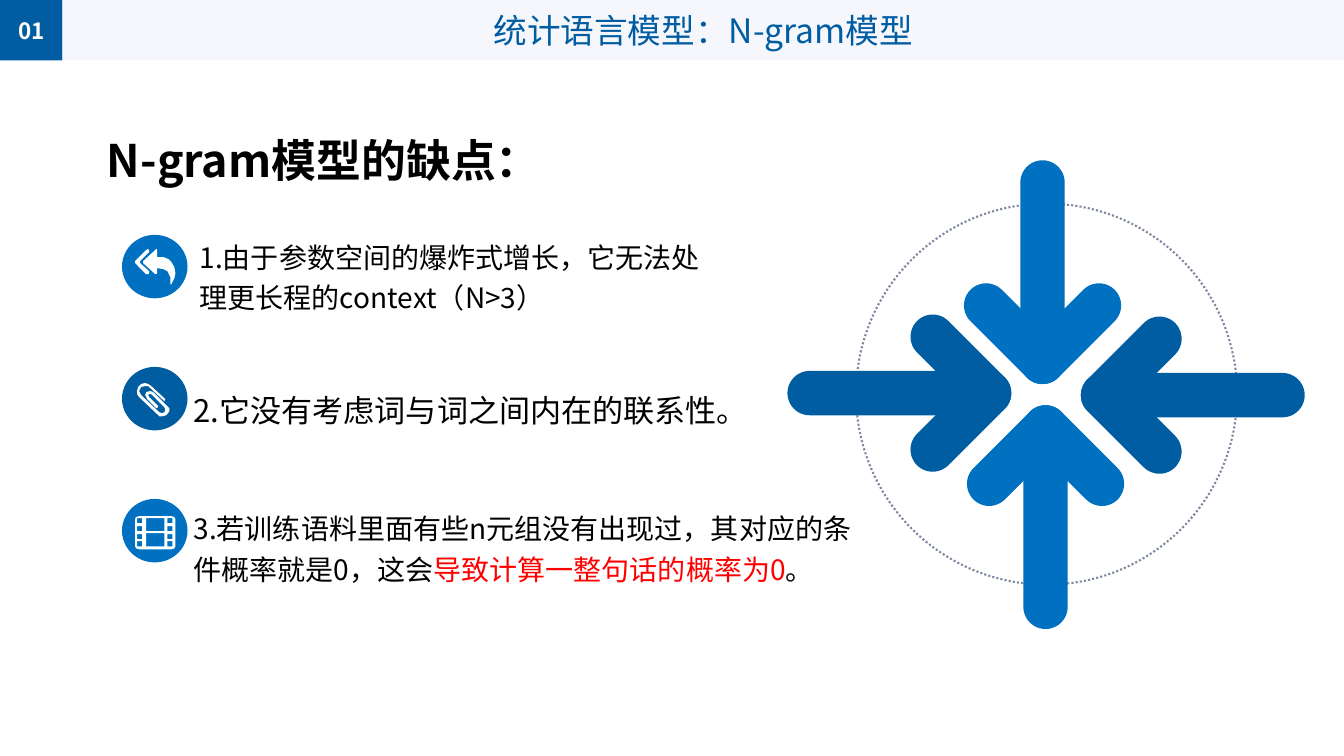
from dataclasses import dataclass
from math import cos, radians, sin
from typing import NamedTuple

from lxml.etree import SubElement
from pptx import Presentation
from pptx.dml.color import RGBColor
from pptx.enum.dml import MSO_LINE_DASH_STYLE as Dash
from pptx.enum.shapes import MSO_SHAPE as Preset
from pptx.enum.text import MSO_ANCHOR as Anchor, PP_ALIGN as Align
from pptx.oxml.ns import qn
from pptx.shapes.autoshape import Shape
from pptx.util import Pt

PX = 9144  # EMU per px, 100 px to the inch
FONT = "Noto Sans CJK SC"
DARK, BRIGHT, PALE = "005DA2", "0070C0", "F6F7FC"
WHITE, BLACK, RED, GREY = "FFFFFF", "000000", "FF0000", "7E889F"

Contour = list[tuple[int, int]]


class Span(NamedTuple):
    text: str
    color: str = BLACK


class Arrow(NamedTuple):
    center_x: int
    center_y: int
    heading: int
    color: str


@dataclass
class TextBox:
    place: tuple[int, int, int, int]
    spans: list[Span]
    size: float
    spacing: float = 1.0
    bold: bool = False
    anchor: Anchor = Anchor.TOP
    wrap: bool = True


@dataclass
class Badge:
    top: int
    color: str
    contours: list[Contour]


def rgb(value: str) -> RGBColor:
    return RGBColor.from_string(value)


def rectangle(left: int, top: int, right: int, bottom: int) -> Contour:
    return [(left, top), (right, top), (right, bottom), (left, bottom)]


REPLY = [
    [(148, 271), (147, 272), (145, 272), (134, 261), (134, 259), (145, 248),
     (147, 247), (148, 249), (148, 250), (139, 259), (139, 261), (148, 269)],
    [(170, 282), (169, 282), (169, 275), (166, 269), (162, 267), (156, 266),
     (156, 271), (155, 272), (154, 272), (142, 261), (142, 259), (154, 248),
     (155, 247), (156, 248), (156, 255), (162, 255), (167, 257), (170, 260),
     (173, 265), (174, 271), (173, 276)],
]
PAPERCLIP = [
    [(161, 413), (158, 413), (156, 411), (138, 394), (136, 391), (136, 388),
     (137, 384), (140, 381), (144, 380), (147, 381), (150, 383), (164, 396),
     (163, 398), (149, 385), (147, 383), (144, 383), (140, 384), (138, 388),
     (140, 392), (158, 409), (161, 410), (163, 409), (164, 407), (163, 404),
     (150, 391), (148, 391), (147, 392), (148, 394), (157, 403), (156, 405),
     (155, 405), (146, 396), (144, 392), (145, 389), (149, 388), (152, 389),
     (165, 402), (168, 405), (168, 408), (165, 412)],
]
FILM = [
    [(138, 512), (170, 512), (173, 513), (174, 515), (174, 542), (173, 544),
     (170, 545), (138, 545), (135, 544), (134, 542), (134, 515), (135, 513)],
    *[rectangle(left, top, left + 5, top + 5)
      for left in (136, 166) for top in (514, 522, 530, 537)],
    *[rectangle(145, top, 163, top + 13) for top in (514, 529)],
]

BADGES = [Badge(233, BRIGHT, REPLY), Badge(364, DARK, PAPERCLIP),
          Badge(495, BRIGHT, FILM)]

ARROWS = [Arrow(1034, 270, 90, BRIGHT), Arrow(1183, 392, 180, DARK),
          Arrow(892, 390, 0, DARK), Arrow(1037, 513, 270, BRIGHT)]

TEXT_BOXES = [
    TextBox((85, 146, 562, 39), [Span("N-gram模型的缺点：")], 32,
            bold=True, anchor=Anchor.BOTTOM, wrap=False),
    TextBox((177, 232, 557, 55),
            [Span("1.由于参数空间的爆炸式增长，它无法处理更长程的context（N>3）")],
            20, spacing=1.2),
    TextBox((171, 385, 562, 39),
            [Span("2.它没有考虑词与词之间内在的联系性。")], 22.2, spacing=1.1),
    TextBox((171, 501, 696, 101),
            [Span("3.若训练语料里面有些n元组没有出现过，其对应的条件概率就是0，这会"),
             Span("导致计算一整句话的概率为0", RED), Span("。")],
            20, spacing=1.2),
]


def paint(shape: Shape, color: str) -> None:
    shape.shadow.inherit = False
    shape.fill.solid()
    shape.fill.fore_color.rgb = rgb(color)
    shape.line.fill.background()


def add_preset(page, preset: Preset, place: tuple, color: str) -> Shape:
    shape = page.shapes.add_shape(preset, *(round(length * PX) for length in place))
    paint(shape, color)
    return shape


def add_spans(para, spans: list[Span], size: float, bold: bool = False) -> None:
    for span in spans:
        run = para.add_run()
        run.text = span.text
        for name, value in {"name": FONT, "size": Pt(size), "bold": bold}.items():
            setattr(run.font, name, value)
        run.font.color.rgb = rgb(span.color)
        SubElement(run.font._element, qn("a:ea"), typeface=FONT)


def add_band(page, left: int, width: int, fill: str, span: Span,
             size: float, bold: bool = False) -> None:
    band = add_preset(page, Preset.RECTANGLE, (left, 0, width, 60), fill)
    band.text_frame.vertical_anchor = Anchor.MIDDLE
    para = band.text_frame.paragraphs[0]
    para.alignment = Align.CENTER
    add_spans(para, [span], size, bold)


def add_bar(page, center_x: float, center_y: float, length: int,
            angle: int, color: str) -> None:
    place = (center_x - length / 2, center_y - 22, length, 44)
    bar = add_preset(page, Preset.ROUNDED_RECTANGLE, place, color)
    bar.adjustments[0] = 0.5
    bar.rotation = angle % 360


def add_arrow(page, arrow: Arrow) -> None:
    """Draw a shaft and two barbs that meet at its tip."""
    x, y, heading, color = arrow
    along_x, along_y = cos(radians(heading)), sin(radians(heading))
    add_bar(page, x, y, 222, heading, color)
    for side in (-1, 1):
        add_bar(page, x + 61 * along_x - side * 28 * along_y,
                y + 61 * along_y + side * 28 * along_x,
                123, heading - side * 45, color)


def add_badge(page, badge: Badge) -> None:
    add_preset(page, Preset.OVAL, (121, badge.top, 65, 63), badge.color)
    first, *others = badge.contours
    builder = page.shapes.build_freeform(*first[0], scale=PX)
    builder.add_line_segments(first[1:])
    for contour in others:
        builder.move_to(*contour[0])
        builder.add_line_segments(contour[1:])
    paint(builder.convert_to_shape(), WHITE)


def add_text_box(page, item: TextBox) -> None:
    box = page.shapes.add_textbox(*(length * PX for length in item.place))
    frame_format = {"word_wrap": item.wrap, "vertical_anchor": item.anchor,
                    "margin_left": 21 * PX, "margin_right": 21 * PX,
                    "margin_top": 0, "margin_bottom": 0}
    for name, value in frame_format.items():
        setattr(box.text_frame, name, value)
    para = box.text_frame.paragraphs[0]
    para.line_spacing = item.spacing
    add_spans(para, item.spans, item.size, item.bold)


def main() -> None:
    deck = Presentation()
    deck.slide_width, deck.slide_height = 1333 * PX, 750 * PX
    page = deck.slides.add_slide(deck.slide_layouts[6])

    add_band(page, 0, 62, DARK, Span("01", WHITE), 16, bold=True)
    add_band(page, 62, 1271, PALE, Span("统计语言模型：N-gram模型", DARK), 24)

    ring = add_preset(page, Preset.OVAL, (849, 202, 378, 378), WHITE)
    ring.fill.background()
    ring.line.color.rgb = rgb(GREY)
    ring.line.width = Pt(1.5)
    ring.line.dash_style = Dash.ROUND_DOT

    for arrow in ARROWS:
        add_arrow(page, arrow)
    for badge in BADGES:
        add_badge(page, badge)
    for item in TEXT_BOXES:
        add_text_box(page, item)
    deck.save("out.pptx")


if __name__ == "__main__":
    main()
